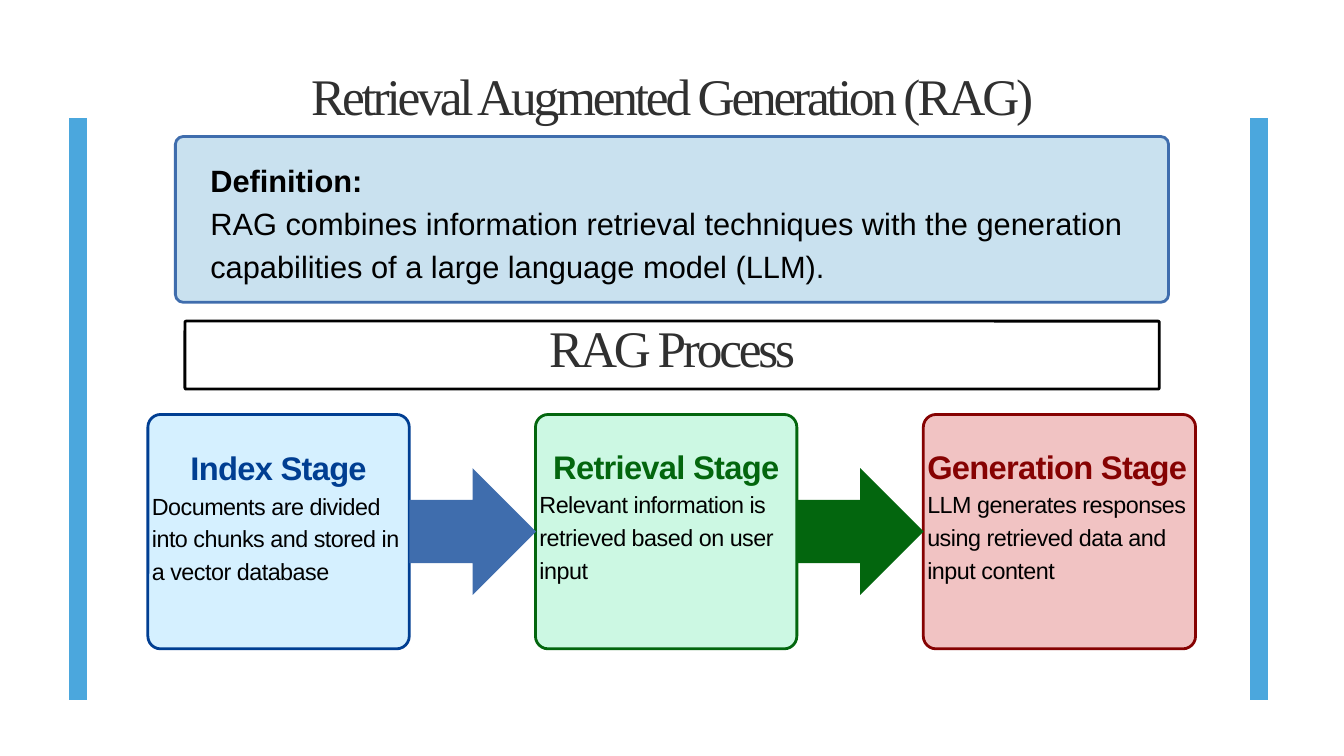
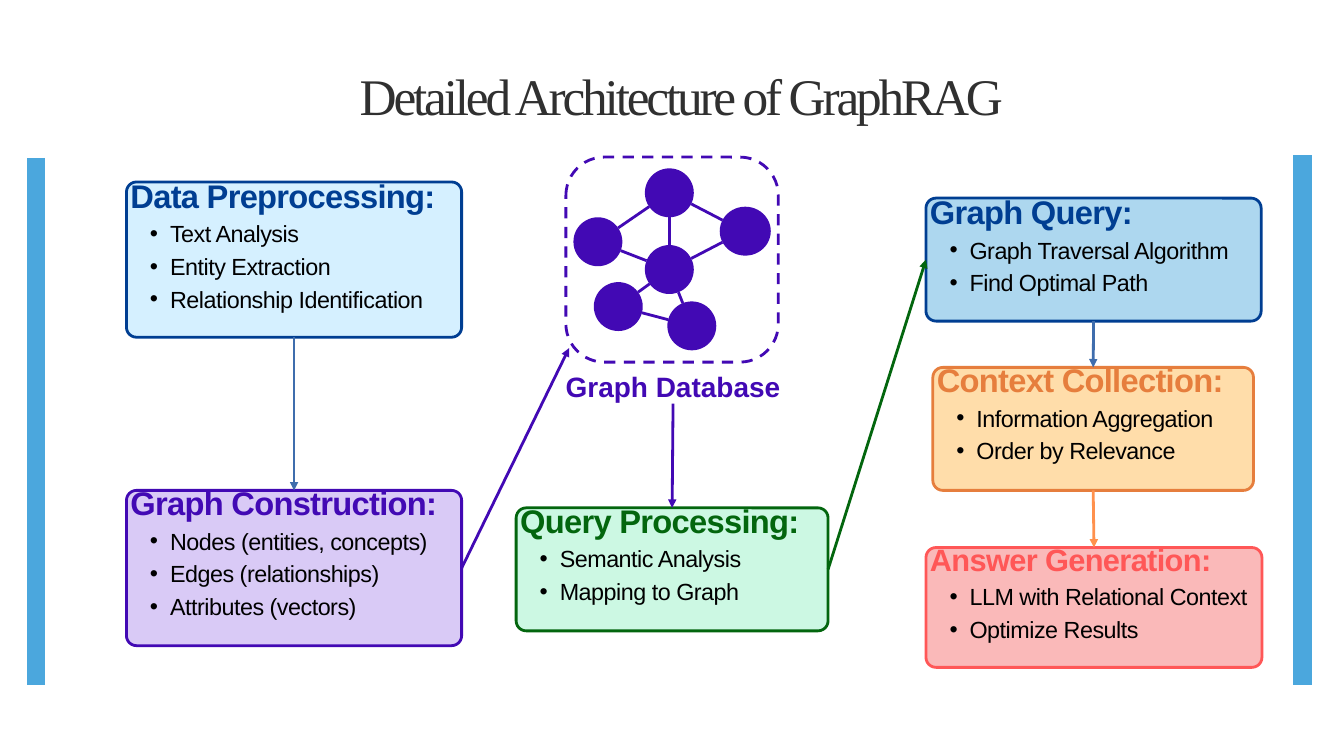
"""Build two slides: the RAG process and the detailed architecture of GraphRAG."""
import math
from dataclasses import dataclass, replace
from typing import Optional

from lxml import etree
from pptx import Presentation
from pptx import slide as sl
from pptx import util as u
from pptx.dml import color as dml
from pptx.enum import dml as styles, shapes, text
from pptx.oxml import ns
from pptx.shapes import autoshape, connector as cx

COLOURS = {
    "black": "000000", "white": "FFFFFF", "title": "303030", "bar": "4BA7DD",
    "blue": "3F6DAD", "navy": "003E92", "sky": "D5F0FF", "pale_blue": "C9E1EF",
    "query_blue": "ADD7EF", "green": "03660E", "mint": "CCF8E3",
    "maroon": "860202", "rose": "F1C3C3", "purple": "4209B4", "lilac": "D9CAF6",
    "orange": "E67E3D", "peach": "FFDDAA", "light_orange": "FF914D",
    "coral": "FF5757", "pink": "FAB9B9",
}
TOP, LEFT, BOTTOM, RIGHT = range(4)
CENTRED, LEFT_ALIGNED = text.PP_ALIGN.CENTER, text.PP_ALIGN.LEFT


@dataclass(frozen=True)
class Box:
    left: float
    top: float
    width: float
    height: float

    def lengths(self) -> list[u.Length]:
        return [u.Cm(value) for value in (self.left, self.top, self.width, self.height)]


@dataclass(frozen=True)
class Style:
    size: float
    leading: float
    colour: str = "black"
    font: str = "Arial"
    bold: bool = False
    tracking: int = 0
    align: text.PP_ALIGN = LEFT_ALIGNED
    bullet: bool = False


@dataclass(frozen=True)
class Card:
    box: Box
    fill: str
    accent: str
    heading: str
    lines: tuple[str, ...]
    rise: float = 1.4
    heading_style: Style = Style(35, 49, bold=True, tracking=-80)
    bulleted: bool = True
    radius: float = 0.38


@dataclass(frozen=True)
class Node:
    x: float
    y: float
    width: float = 1.85
    height: float = 1.85


Line = tuple[str, Style]
Point = tuple[float, float]
TITLE = Style(55, 51.7, "title", "Times New Roman", tracking=-340, align=CENTRED)
BODY = Style(25, 35, tracking=-50)
BULLET = replace(BODY, bullet=True)
DEFINITION = Style(33, 46.2)
STAGE = Style(35, 49, bold=True, tracking=-80, align=CENTRED)
SMALLER_HEADING = Style(33, 46.2, bold=True, tracking=-70)

STAGES = [
    Card(Box(5.59, 15.67, 9.88, 8.86), "sky", "navy", "Index Stage",
         ("Documents are divided into chunks and stored in a vector database",),
         1.4, STAGE, False, 0.48),
    Card(Box(20.24, 15.67, 9.88, 8.86), "mint", "green", "Retrieval Stage",
         ("Relevant information is retrieved based on user input",),
         1.5, STAGE, False, 0.48),
    Card(Box(34.9, 15.67, 10.29, 8.86), "rose", "maroon", "Generation Stage",
         ("LLM generates responses using retrieved data and input content",),
         1.5, replace(STAGE, align=LEFT_ALIGNED), False, 0.48),
]
STAGE_ARROWS = ["blue", "green"]

STEPS = {
    "preprocessing": Card(
        Box(4.78, 6.88, 12.67, 5.87), "sky", "navy", "Data Preprocessing:",
        ("Text Analysis", "Entity Extraction", "Relationship Identification")),
    "construction": Card(
        Box(4.78, 18.54, 12.67, 5.87), "lilac", "purple", "Graph Construction:",
        ("Nodes (entities, concepts)", "Edges (relationships)", "Attributes (vectors)"), 1.5),
    "processing": Card(
        Box(19.51, 19.2, 11.79, 4.65), "mint", "green", "Query Processing:",
        ("Semantic Analysis", "Mapping to Graph"), 1.5),
    "query": Card(
        Box(35, 7.49, 12.67, 4.65), "query_blue", "navy", "Graph Query:",
        ("Graph Traversal Algorithm", "Find Optimal Path")),
    "context": Card(
        Box(35.26, 13.89, 12.12, 4.65), "peach", "orange", "Context Collection:",
        ("Information Aggregation", "Order by Relevance"), 1.5),
    "answer": Card(
        Box(35, 20.7, 12.7, 4.53), "pink", "coral", "Answer Generation:",
        ("LLM with Relational Context", "Optimize Results"), 1.4, SMALLER_HEADING),
}
FLOWS = [
    ("preprocessing", BOTTOM, "construction", TOP, "blue"),
    ("database", BOTTOM, "processing", TOP, "purple"),
    ("processing", RIGHT, "query", LEFT, "green"),
    ("query", BOTTOM, "context", TOP, "blue"),
    ("context", BOTTOM, "answer", TOP, "light_orange"),
]
NODES = {
    "top": Node(25.3, 7.29),
    "left": Node(22.6, 9.14),
    "right": Node(28.17, 8.74, 1.93),
    "middle": Node(25.3, 10.19),
    "lower_left": Node(23.37, 11.59),
    "lower_right": Node(26.15, 12.32),
}
EDGES = [
    ("top", "left"), ("top", "right"), ("top", "middle"), ("left", "middle"),
    ("right", "middle"), ("middle", "lower_left"), ("middle", "lower_right"),
    ("lower_left", "lower_right"),
]


def rgb(name: str) -> dml.RGBColor:
    return dml.RGBColor.from_string(COLOURS[name])


def add_outline(slide: sl.Slide, kind: shapes.MSO_SHAPE, box: Box,
                fill: Optional[str] = None, line: Optional[str] = None) -> autoshape.Shape:
    shape = slide.shapes.add_shape(kind, *box.lengths())
    shape.shadow.inherit = False
    if fill:
        shape.fill.solid()
        shape.fill.fore_color.rgb = rgb(fill)
    else:
        shape.fill.background()
    if line:
        shape.line.color.rgb = rgb(line)
        shape.line.width = u.Pt(3)
    else:
        shape.line.fill.background()
    return shape


def add_rounded(slide: sl.Slide, box: Box, radius: float,
                fill: Optional[str], line: str) -> autoshape.Shape:
    shape = add_outline(slide, shapes.MSO_SHAPE.ROUNDED_RECTANGLE, box, fill, line)
    shape.adjustments[0] = radius / min(box.width, box.height)
    return shape


def add_text(slide: sl.Slide, box: Box, lines: list[Line], inset: float = 0,
             anchor: text.MSO_ANCHOR = text.MSO_ANCHOR.TOP) -> autoshape.Shape:
    shape = slide.shapes.add_textbox(*box.lengths())
    frame_format = {"word_wrap": True, "vertical_anchor": anchor}
    for side in ("left", "top", "right", "bottom"):
        frame_format[f"margin_{side}"] = u.Cm(inset)
    for name, value in frame_format.items():
        setattr(shape.text_frame, name, value)
    for index, (words, style) in enumerate(lines):
        frame = shape.text_frame
        paragraph = frame.add_paragraph() if index else frame.paragraphs[0]
        paragraph.alignment = style.align
        paragraph.line_spacing = u.Pt(style.leading)
        if style.bullet:
            paragraph.level = 1
            properties = paragraph._p.get_or_add_pPr()
            properties.set("marL", str(u.Cm(1.5)))
            properties.set("indent", str(u.Cm(-0.76)))
            etree.SubElement(properties, ns.qn("a:buFont"), typeface="Arial")
            etree.SubElement(properties, ns.qn("a:buChar"), char="•")
        run = paragraph.add_run()
        run.text = words
        font_format = {"name": style.font, "size": u.Pt(style.size), "bold": style.bold}
        for name, value in font_format.items():
            setattr(run.font, name, value)
        run.font.color.rgb = rgb(style.colour)
        run._r.get_or_add_rPr().set("spc", str(style.tracking))
    return shape


def add_line(slide: sl.Slide, start: Point, finish: Point, colour: str,
             width: float = 3, arrow: bool = False) -> cx.Connector:
    ends = [u.Cm(value) for value in (*start, *finish)]
    connector = slide.shapes.add_connector(shapes.MSO_CONNECTOR.STRAIGHT, *ends)
    connector.line.color.rgb = rgb(colour)
    connector.line.width = u.Pt(width)
    if arrow:
        etree.SubElement(connector.line._get_or_add_ln(), ns.qn("a:tailEnd"), type="triangle")
    etree.SubElement(connector._element.spPr, ns.qn("a:effectLst"))
    return connector


def add_card(slide: sl.Slide, card: Card) -> autoshape.Shape:
    box = card.box
    shape = add_rounded(slide, box, card.radius, card.fill, card.accent)
    text_box = replace(box, top=box.top - card.rise, height=box.height + card.rise)
    heading = (card.heading, replace(card.heading_style, colour=card.accent))
    body = BULLET if card.bulleted else BODY
    add_text(slide, text_box, [heading] + [(line, body) for line in card.lines],
             0.15, text.MSO_ANCHOR.MIDDLE)
    return shape


def add_frame(slide: sl.Slide, title: str, title_left: float,
              bars: list[tuple[float, float, float]]) -> None:
    for x, top, bottom in bars:
        add_line(slide, (x, top), (x, bottom), "bar", 19.5)
    add_text(slide, Box(title_left, 2.95, 36.83, 2.24), [(title, TITLE)])


def rim(node: Node, other: Node) -> Point:
    angle = math.atan2(other.y - node.y, other.x - node.x)
    return (node.x + node.width / 2 * math.cos(angle),
            node.y + node.height / 2 * math.sin(angle))


def add_database(slide: sl.Slide) -> autoshape.Shape:
    frame = add_rounded(slide, Box(21.39, 5.94, 8.03, 7.75), 1.45, None, "purple")
    frame.line.dash_style = styles.MSO_LINE.DASH
    for first, second in EDGES:
        start, finish = NODES[first], NODES[second]
        add_line(slide, rim(start, finish), rim(finish, start), "purple")
    for node in NODES.values():
        box = Box(node.x - node.width / 2, node.y - node.height / 2, node.width, node.height)
        add_outline(slide, shapes.MSO_SHAPE.OVAL, box, "purple")
    label = Style(30, 42, "purple", bold=True, align=CENTRED)
    return add_text(slide, Box(20.5, 13.74, 9.88, 1.52), [("Graph Database", label)])


def build_process(slide: sl.Slide) -> None:
    add_frame(slide, "Retrieval Augmented Generation (RAG)", 6.99,
              [(2.95, 4.47, 26.47), (47.6, 4.47, 26.47)])
    add_rounded(slide, Box(6.63, 5.16, 37.54, 6.27), 0.3, "pale_blue", "blue")
    add_text(slide, Box(7.95, 5.89, 34.9, 4.88), [
        ("Definition:", replace(DEFINITION, bold=True)),
        ("RAG combines information retrieval techniques with the generation "
         "capabilities of a large language model (LLM).", DEFINITION)])
    add_rounded(slide, Box(6.99, 12.14, 36.83, 2.57), 0.05, "white", "black")
    add_text(slide, Box(6.99, 12.47, 36.83, 2.24), [("RAG Process", TITLE)])
    for card in STAGES:
        add_card(slide, card)
    for card, colour in zip(STAGES, STAGE_ARROWS):
        box = Box(card.box.left + card.box.width, 17.7, 4.79, 4.79)
        add_outline(slide, shapes.MSO_SHAPE.RIGHT_ARROW, box, colour)


def build_architecture(slide: sl.Slide) -> None:
    add_frame(slide, "Detailed Architecture of GraphRAG", 7.34,
              [(1.37, 5.97, 25.91), (49.23, 5.87, 25.91)])
    steps = {name: add_card(slide, card) for name, card in STEPS.items()}
    steps["database"] = add_database(slide)
    for source, exit_side, target, entry_side, colour in FLOWS:
        flow = add_line(slide, (0, 0), (0, 0), colour, arrow=True)
        flow.begin_connect(steps[source], exit_side)
        flow.end_connect(steps[target], entry_side)
    storing = add_line(slide, (17.45, 21.46), (21.51, 13.16), "purple", arrow=True)
    storing.begin_connect(steps["construction"], RIGHT)


def main() -> None:
    presentation = Presentation()
    presentation.slide_width, presentation.slide_height = u.Cm(50.8), u.Cm(28.58)
    for build in (build_process, build_architecture):
        build(presentation.slides.add_slide(presentation.slide_layouts[6]))
    presentation.save("out.pptx")


if __name__ == "__main__":
    main()
